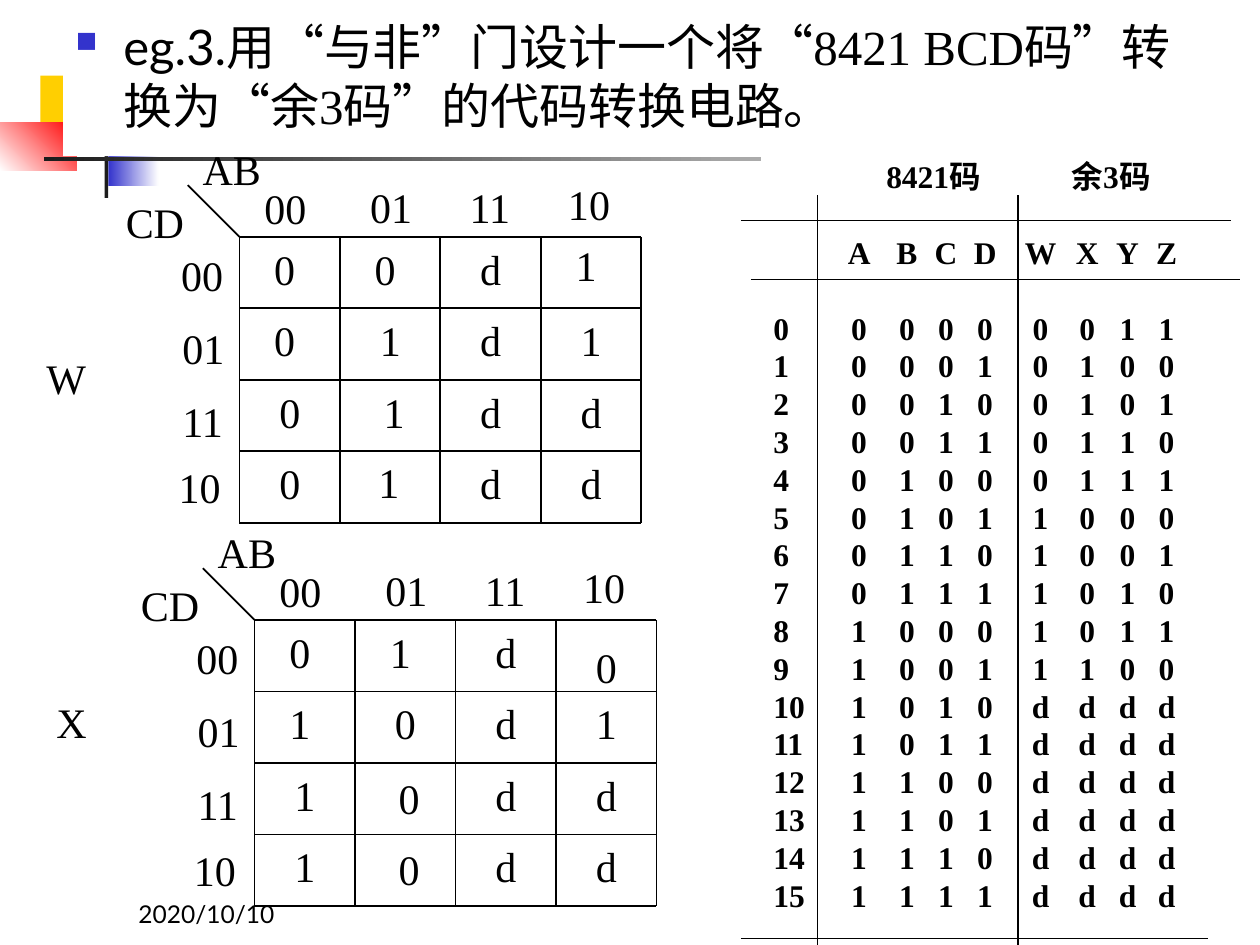
from lxml import etree
from pptx import Presentation
from pptx.dml.color import RGBColor
from pptx.enum.shapes import MSO_CONNECTOR, MSO_SHAPE
from pptx.enum.text import MSO_ANCHOR, MSO_AUTO_SIZE, PP_ALIGN
from pptx.oxml.ns import qn
from pptx.util import Inches, Pt

BLACK = RGBColor(0, 0, 0)
WHITE = RGBColor(0xFF, 0xFF, 0xFF)
YELLOW = RGBColor(0xFF, 0xCF, 0x01)
RED = RGBColor(0xFF, 0, 0)
BLUE = RGBColor(0x33, 0x33, 0xCC)
DARK = RGBColor(0x1C, 0x1C, 0x1C)
SERIF, SANS = "Times New Roman", "Lato"

# Content
TITLE = [("eg.3.用“与非”门设计一个将“", SANS), ("8421 BCD码", SERIF),
         ("”转换为“", SANS), ("余3码", SERIF), ("”的代码转换电路。", SANS)]
DATE = "2020/10/10"
GROUPS = ["8421码", "余3码"]
VARIABLES = "ABCDWXYZ"
EXCESS3 = ["0011", "0100", "0101", "0110", "0111",
           "1000", "1001", "1010", "1011", "1100"] + ["dddd"] * 6
GRAY = ["00", "01", "11", "10"]

# Karnaugh maps: origin, name offset, cell values, offsets of single cells
MAPS = [
    {"name": "W", "origin": (1.9, 1.88), "name_at": (-1.63, 0.87),
     "rows": ["00d1", "01d1", "01dd", "01dd"],
     "nudge": {(0, 3): (-0.04, -0.03), (2, 1): (0.03, 0), (3, 1): (-0.01, -0.01)}},
    {"name": "X", "origin": (2.02, 4.92), "name_at": (-1.67, 0.56),
     "rows": ["01d0", "10d1", "10dd", "10dd"],
     "nudge": {(0, 3): (0, 0.12), (2, 1): (0.03, 0.03), (3, 1): (0.03, 0.02)}},
]
SHARED_NUDGE = {(0, 0): (-0.04, 0), (0, 1): (-0.04, 0), (1, 0): (-0.04, 0)}
CELL_W, CELL_H = 0.8, 0.57
MAP_W, MAP_H = 3.19, 2.27
COLUMN_LABELS = [(0.1, -0.48), (0.94, -0.49), (1.73, -0.49), (2.51, -0.51)]
ROW_LABELS = [(-0.56, 0.05), (-0.55, 0.63), (-0.55, 1.21), (-0.58, 1.73)]

# Code table: tab stops measured from the text edge
CODE_TABS = [0.68, 1.06, 1.37, 1.68, 2.12, 2.49, 2.81, 3.12]
GROUP_TABS = [1.27, 2.68]
CODE_LINES = [((5.88, 1.75), (9.77, 1.75)), ((5.96, 2.22), (9.84, 2.22)),
              ((6.49, 1.55), (6.49, 7.5)), ((8.08, 1.55), (8.08, 7.5)),
              ((5.88, 7.45), (9.59, 7.45))]
CODE_PITCH = Pt(21.6)

# Decoration: left, top, width, height, colours, gradient angle
DECOR = [(0.32, 0.6, 0.48, 0.42, [YELLOW], 0),
         (0.86, 1.06, 0.4, 0.42, [BLUE, WHITE], 0),
         (0, 0.97, 0.61, 0.38, [WHITE, RED], 45),
         (0.83, 0.42, 0.03, 1.15, [DARK], 0),
         (0.35, 1.25, 9, 0.03, [DARK, WHITE], 0)]

prs = Presentation()
prs.slide_width, prs.slide_height = Inches(10), Inches(7.5)
s = prs.slides.add_slide(prs.slide_layouts[5])


def add_run(p, text, size, font=SERIF, bold=False):
    r = p.add_run()
    r.text = text
    fmt = {"size": Pt(size), "name": font, "bold": bold}
    for key, value in fmt.items():
        setattr(r.font, key, value)
    r.font.color.rgb = BLACK


def add_text(x, y, w, h, text, size=24, font=SERIF,
             align=PP_ALIGN.LEFT, anchor=MSO_ANCHOR.TOP):
    tf = s.shapes.add_textbox(Inches(x), Inches(y), Inches(w), Inches(h)).text_frame
    tf.word_wrap = True
    tf.vertical_anchor = anchor
    tf.paragraphs[0].alignment = align
    add_run(tf.paragraphs[0], text, size, font)


def add_line(start, end, width):
    line = s.shapes.add_connector(MSO_CONNECTOR.STRAIGHT,
                                  *(Inches(v) for v in (*start, *end)))
    line.line.color.rgb = BLACK
    line.line.width = Pt(width)
    etree.SubElement(line._element.spPr, qn("a:effectLst"))


def add_tabbed(p, items, tabs):
    tab_list = etree.SubElement(p._p.get_or_add_pPr(), qn("a:tabLst"))
    for pos in tabs:
        etree.SubElement(tab_list, qn("a:tab"), pos=str(Inches(pos)), algn="ctr")
    add_run(p, "\t".join(items), 18, bold=True)


# Decoration
for x, y, w, h, colours, angle in DECOR:
    sp = s.shapes.add_shape(MSO_SHAPE.RECTANGLE, *(Inches(v) for v in (x, y, w, h)))
    sp.shadow.inherit = False
    sp.line.fill.background()
    if len(colours) == 1:
        sp.fill.solid()
        sp.fill.fore_color.rgb = colours[0]
    else:
        sp.fill.gradient()
        sp.fill.gradient_angle = angle
        for stop, colour in zip(sp.fill.gradient_stops, colours):
            stop.color.rgb = colour

add_text(1, 6.92, 2.08, 0.5, DATE, 14, SANS, anchor=MSO_ANCHOR.BOTTOM)

# Title, in front of the decoration
title = s.shapes.title
box = {"left": 0.5, "top": 0.08, "width": 9.17, "height": 1.16}
for key, value in box.items():
    setattr(title, key, Inches(value))
title.fill.solid()
title.fill.fore_color.rgb = WHITE
tf = title.text_frame
for key, value in {"word_wrap": True, "auto_size": MSO_AUTO_SIZE.NONE,
                   "vertical_anchor": MSO_ANCHOR.TOP}.items():
    setattr(tf, key, value)
p = tf.paragraphs[0]
p.alignment = PP_ALIGN.LEFT
pPr = p._p.get_or_add_pPr()
pPr.set("marL", str(Inches(0.38)))
pPr.set("indent", str(-Inches(0.38)))
bullet_colour = etree.SubElement(pPr, qn("a:buClr"))
etree.SubElement(bullet_colour, qn("a:srgbClr"), val=str(BLUE))
etree.SubElement(pPr, qn("a:buSzPct"), val="60000")
etree.SubElement(pPr, qn("a:buChar"), char="■")
for text, font in TITLE:
    add_run(p, text, 28, font)
s.shapes._spTree.append(title._element)

# Code table
sp = s.shapes.add_textbox(Inches(6.04), Inches(1.2), Inches(3.42), Inches(6.16))
sp.fill.solid()
sp.fill.fore_color.rgb = WHITE
tf = sp.text_frame
tf.word_wrap = False
code_rows = [["", *GROUPS], ["", *VARIABLES]]
code_rows += [[str(n), *f"{n:04b}", *code] for n, code in enumerate(EXCESS3)]
for i, row in enumerate(code_rows):
    p = tf.paragraphs[0] if i == 0 else tf.add_paragraph()
    p.alignment = PP_ALIGN.LEFT
    p.line_spacing = CODE_PITCH
    p.space_before = CODE_PITCH if i in (1, 2) else Pt(0)
    add_tabbed(p, row, GROUP_TABS if i == 0 else CODE_TABS)
for start, end in CODE_LINES:
    add_line(start, end, 0.75)

# Karnaugh maps
for kmap in MAPS:
    x0, y0 = kmap["origin"]
    nudge = SHARED_NUDGE | kmap["nudge"]
    for i, row in enumerate(kmap["rows"]):
        for j, value in enumerate(row):
            dx, dy = nudge.get((i, j), (0, 0))
            add_text(x0 + j * MAP_W / 4 + dx, y0 + i * MAP_H / 4 + dy,
                     CELL_W, CELL_H, value, align=PP_ALIGN.CENTER)
    for i in range(5):
        x, y = x0 + i * MAP_W / 4, y0 + i * MAP_H / 4
        add_line((x0, y), (x0 + MAP_W, y), 1)
        add_line((x, y0), (x, y0 + MAP_H), 1)
    add_line((x0 - 0.41, y0 - 0.41), (x0, y0), 1)
    labels = [("AB", (-0.39, -0.79)), ("CD", (-1, -0.37)),
              (kmap["name"], kmap["name_at"])]
    labels += zip(GRAY * 2, COLUMN_LABELS + ROW_LABELS)
    for text, (dx, dy) in labels:
        add_text(x0 + dx, y0 + dy, 0.66, 0.5, text)

prs.save("out.pptx")
